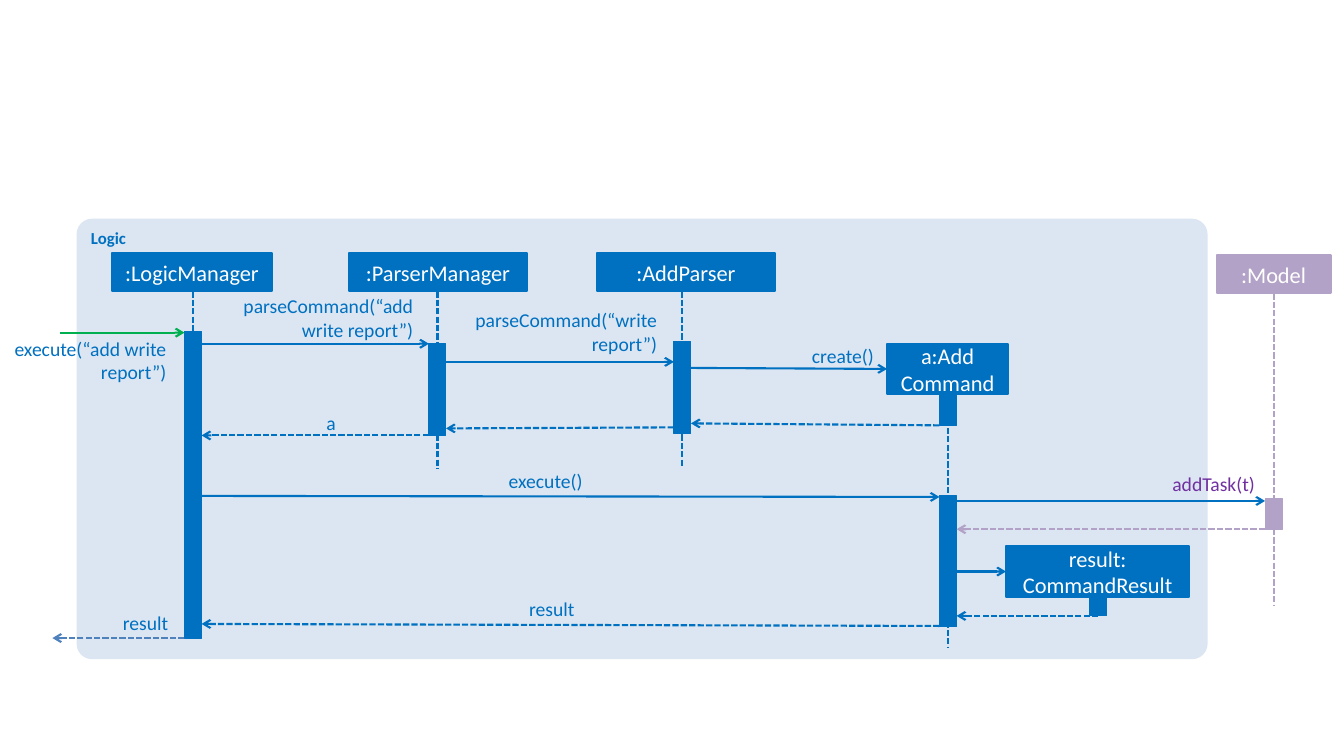
"""Draw the sequence diagram of an add command passing through Logic."""
from dataclasses import dataclass
from typing import Optional

from lxml import etree
from pptx import Presentation, util as u
from pptx.dml.color import RGBColor
from pptx.enum import dml, shapes, text
from pptx.oxml.ns import qn

COLOURS = {"logic": "0070C0", "panel": "DCE6F2", "model": "B3A2C7", "call": "00B050",
           "exit": "4F81BD", "task": "7030A0", "white": "FFFFFF"}
COLUMNS, ROWS = 133.33, 75
SLIDE_W, SLIDE_H = u.Inches(13.33), u.Inches(7.5)
HALF_BAR = 0.85
LINE_ROWS = 2.35


@dataclass(frozen=True)
class Participant:
    """A head box with its lifeline axis and activation bars, in grid units."""
    label: str
    axis: float
    left: float
    top: float
    width: float
    bars: tuple[tuple[float, float], ...]
    end: Optional[float] = None
    height: float = 3.8
    colour: str = "logic"

    @property
    def before(self) -> float:
        """Return the left edge of the bar."""
        return self.axis - HALF_BAR

    @property
    def after(self) -> float:
        """Return the right edge of the bar."""
        return self.axis + HALF_BAR


@dataclass(frozen=True)
class Message:
    """An arrow from start to end; a reply is dashed."""
    start: float
    end: float
    row: float
    end_row: Optional[float] = None
    reply: bool = False
    colour: str = "logic"


@dataclass(frozen=True)
class Caption:
    """Right-aligned wording of a message."""
    wording: str
    left: float
    top: float
    width: float
    lines: int = 1
    colour: str = "logic"


manager = Participant(":LogicManager", 19.15, 11.1, 25.1, 15.9, ((32.9, 30.4),), 57.5)
parser = Participant(":ParserManager", 43.4, 34.6, 25.1, 17.7, ((34.1, 9.1),), 46.5)
add_parser = Participant(":AddParser", 67.7, 59.2, 25.1, 17.7, ((33.9, 9.1),), 46.3)
command = Participant("a:Add\vCommand", 94.05, 88, 34.1, 12, ((39.2, 3), (49.2, 13)), 64.2, 5)
result = Participant("result:\vCommandResult", 108.95, 99.8, 54.2, 18.2, ((59.2, 1.9),), None, 5)
model = Participant(":Model", 126.35, 120.7, 25.3, 11.3, ((49.5, 3),), 60, colour="model")
PARTICIPANTS = (manager, parser, add_parser, command, result, model)

MESSAGES = (
    Message(6, manager.before, 33, colour="call"),
    Message(manager.after, parser.before, 34.1),
    Message(parser.after, add_parser.before, 35.9),
    Message(add_parser.after, command.left, 36.5, 36.6),
    Message(command.before, add_parser.after, 42.2, 42, True),
    Message(add_parser.before, parser.after, 42.4, 42.5, True),
    Message(parser.before, manager.after, 43.2, reply=True),
    Message(manager.after, command.before, 49.2, 49.3),
    Message(command.after, model.before, 49.7),
    Message(model.axis, command.after, 52.5, reply=True, colour="model"),
    Message(command.after, result.left, 56.7),
    Message(result.axis, command.after, 61.1, reply=True),
    Message(command.before, manager.after, 62.1, 61.9, True),
    Message(manager.before, 5.2, 63.3, reply=True, colour="exit"),
)

CAPTIONS = (
    Caption("execute(“add write report”)", 0.8, 33.4, 15.7, 2),
    Caption("parseCommand(“add write report”)", 20.7, 29.2, 20.3, 2),
    Caption("parseCommand(“write report”)", 44.9, 30.6, 20.3, 2),
    Caption("create()", 79.7, 34.1, 7),
    Caption("a", 30.9, 40.8, 2.4),
    Caption("execute()", 48.4, 46.5, 9.4),
    Caption("addTask(t)", 108.9, 46.8, 15.6, colour="task"),
    Caption("result", 50.2, 59.2, 6.8),
    Caption("result", 8.4, 60.6, 8.3),
)


def x(columns: float) -> int:
    """Turn grid columns into a length."""
    return int(SLIDE_W * columns / COLUMNS)


def y(rows: float) -> int:
    """Turn grid rows into a length."""
    return int(SLIDE_H * rows / ROWS)


def rgb(colour: str) -> RGBColor:
    """Look up a named colour."""
    return RGBColor.from_string(COLOURS[colour])


def write(frame, wording: str, size: float, colour: str, align, bold: bool = False) -> None:
    """Fill a text frame and format its runs."""
    frame.word_wrap = True
    frame.text = wording
    for paragraph in frame.paragraphs:
        paragraph.alignment = align
        for run in paragraph.runs:
            run.font.name, run.font.size, run.font.bold = "Calibri", u.Pt(size), bold
            run.font.color.rgb = rgb(colour)


def add_box(left: float, top: float, width: float, height: float, fill: str,
            outline: float = 0, preset=shapes.MSO_SHAPE.RECTANGLE):
    """Add a flat filled shape and return it."""
    box = slide.shapes.add_shape(preset, x(left), y(top), x(width), y(height))
    box.shadow.inherit = False
    box.fill.solid()
    box.fill.fore_color.rgb = rgb(fill)
    if outline:
        box.line.color.rgb = rgb(fill)
        box.line.width = u.Pt(outline)
    else:
        box.line.fill.background()
    return box


def add_line(start: float, top: float, end: float, bottom: float, colour: str,
             dashed: bool, arrow: bool) -> None:
    """Add a straight line, dashed or pointed on request."""
    line = slide.shapes.add_connector(shapes.MSO_CONNECTOR.STRAIGHT,
                                      x(start), y(top), x(end), y(bottom))
    line.line.color.rgb = rgb(colour)
    line.line.width = u.Pt(1.5)
    if dashed:
        line.line.dash_style = dml.MSO_LINE.SQUARE_DOT
    if arrow:
        etree.SubElement(line.line._get_or_add_ln(), qn("a:tailEnd"), type="arrow")
    etree.SubElement(line._element.spPr, qn("a:effectLst"))


def draw_participant(role: Participant) -> None:
    """Draw the lifeline, head and bars of a participant."""
    if role.end:
        add_line(role.axis, role.top + role.height, role.axis, role.end, role.colour, True, False)
    head = add_box(role.left, role.top, role.width, role.height, role.colour, 1.5)
    head.text_frame.vertical_anchor = text.MSO_ANCHOR.MIDDLE
    write(head.text_frame, role.label, 16, "white", text.PP_ALIGN.CENTER)
    for top, height in role.bars:
        add_box(role.before, top, 2 * HALF_BAR, height, role.colour, 0.75)


def draw_message(message: Message) -> None:
    """Draw a message arrow."""
    end_row = message.row if message.end_row is None else message.end_row
    add_line(message.start, message.row, message.end, end_row, message.colour,
             message.reply, True)


def draw_caption(caption: Caption) -> None:
    """Draw the wording beside a message."""
    box = slide.shapes.add_textbox(x(caption.left), y(caption.top), x(caption.width),
                                   y(LINE_ROWS * caption.lines))
    frame = box.text_frame
    frame.margin_left = frame.margin_right = frame.margin_top = frame.margin_bottom = 0
    write(frame, caption.wording, 14, caption.colour, text.PP_ALIGN.RIGHT)
    frame.auto_size = text.MSO_AUTO_SIZE.SHAPE_TO_FIT_TEXT


deck = Presentation()
deck.slide_width, deck.slide_height = SLIDE_W, SLIDE_H
slide = deck.slides.add_slide(deck.slide_layouts[6])

panel = add_box(7.6, 21.7, 112.2, 43.7, "panel", preset=shapes.MSO_SHAPE.ROUNDED_RECTANGLE)
panel.adjustments[0] = 0.035
panel.text_frame.vertical_anchor = text.MSO_ANCHOR.TOP
write(panel.text_frame, "Logic", 12, "logic", text.PP_ALIGN.LEFT, True)

for participant in PARTICIPANTS:
    draw_participant(participant)
for arrow_message in MESSAGES:
    draw_message(arrow_message)
for message_caption in CAPTIONS:
    draw_caption(message_caption)

deck.save("out.pptx")
